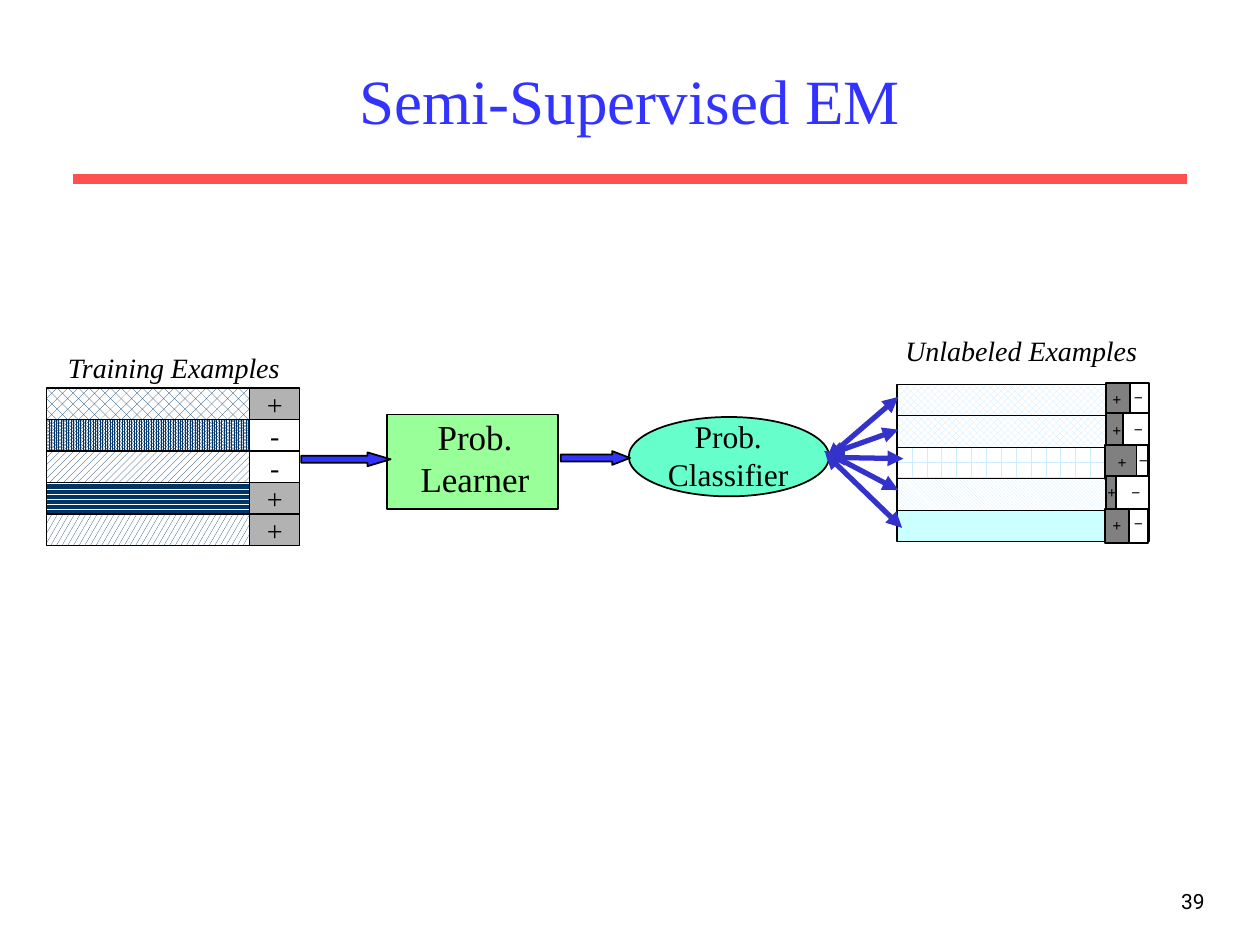
from lxml import etree
from pptx import Presentation
from pptx.dml.color import RGBColor
from pptx.enum.dml import MSO_PATTERN
from pptx.enum.shapes import MSO_CONNECTOR, MSO_SHAPE
from pptx.enum.text import MSO_ANCHOR, PP_ALIGN
from pptx.oxml.ns import qn
from pptx.util import Inches, Pt

RECT, OVAL, ARROW = MSO_SHAPE.RECTANGLE, MSO_SHAPE.OVAL, MSO_SHAPE.RIGHT_ARROW
STRAIGHT = MSO_CONNECTOR.STRAIGHT
CENTER, RIGHT = PP_ALIGN.CENTER, PP_ALIGN.RIGHT
TOP, MIDDLE = MSO_ANCHOR.TOP, MSO_ANCHOR.MIDDLE
SERIF = "Times New Roman"
BLACK, WHITE, LIGHT_GRAY, GRAY = "000000", "FFFFFF", "B2B2B2", "808080"
ROW_H = 0.25

# Content: training rows are (pattern, label)
TRAINING = [("pct40", "+"), ("pct90", "-"), ("wdUpDiag", "-"),
            ("dkHorz", "+"), ("lgConfetti", "+")]
# Unlabeled rows: pattern (None is solid), top of the label cells, then
# cells from back to front as (sign, left, width, left of the sign, top of the sign)
UNLABELED = [
    ("lgCheck", 3.04, [("+", 8.78, 0.2, 8.73, 3.04), ("−", 8.97, 0.15, 8.9, 3.03)]),
    ("openDmnd", 3.28, [("+", 8.78, 0.2, 8.73, 3.29), ("−", 8.91, 0.21, 8.9, 3.28)]),
    ("horzBrick", 3.53, [("−", 8.96, 0.15, 8.94, 3.53), ("+", 8.77, 0.25, 8.77, 3.54)]),
    ("dkDnDiag", 3.78, [("+", 8.78, 0.2, 8.69, 3.78), ("−", 8.86, 0.26, 8.88, 3.78)]),
    (None, 4.04, [("+", 8.77, 0.2, 8.73, 4.04), ("−", 8.96, 0.15, 8.9, 4.03)]),
]
CAPTIONS = [
    ("Training Examples", (0.43, 2.73, 1.9, 0.37)),
    ("Unlabeled Examples", (7.08, 2.6, 2.05, 0.37)),
]
# Stages: outline, place, fill, lines of text, text place, size, wrap
STAGES = [
    (RECT, (3.07, 3.29, 1.36, 0.75), "99FF99", ["Prob. Learner"],
     (3.23, 3.25, 1.08, 0.77), 20, True),
    (OVAL, (4.99, 3.31, 1.59, 0.63), "66FFCC", ["Prob.", "Classifier"],
     (5.2, 3.26, 1.16, 0.7), 18, False),
]
# Block arrows: place and head length relative to height
FLOWS = [((2.39, 3.59, 0.71, 0.11), 1.67), ((4.45, 3.58, 0.55, 0.11), 1.29)]
CLASSIFIER_LINKS = [
    ((6.56, 3.64), (7.13, 3.15)),
    ((6.57, 3.61), (7.13, 3.41)),
    ((6.58, 3.63), (7.17, 3.64)),
    ((6.54, 3.58), (7.13, 3.89)),
    ((6.55, 3.6), (7.16, 4.19)),
]


def rgb(color):
    return RGBColor.from_string(color)


def write(frame, lines, size, font=SERIF, color=BLACK, align=CENTER,
          anchor=TOP, wrap=False, italic=None, bold=None):
    frame.word_wrap = wrap
    frame.vertical_anchor = anchor
    for i, line in enumerate(lines):
        paragraph = frame.paragraphs[0] if i == 0 else frame.add_paragraph()
        paragraph.alignment = align
        run = paragraph.add_run()
        run.text = line
        run.font.size = Pt(size)
        run.font.name = font
        run.font.italic = italic
        run.font.bold = bold
        run.font.color.rgb = rgb(color)


def add_text(place, lines, size, **style):
    box = slide.shapes.add_textbox(*map(Inches, place))
    write(box.text_frame, lines, size, **style)


def add_block(kind, place, fill, line_width=0.75, pattern=None):
    block = slide.shapes.add_shape(kind, *map(Inches, place))
    block.shadow.inherit = False
    if pattern is None:
        block.fill.solid()
    else:
        block.fill.patterned()
        block.fill.pattern = MSO_PATTERN.from_xml(pattern)
        block.fill.back_color.rgb = rgb(WHITE)
    block.fill.fore_color.rgb = rgb(fill)
    block.line.color.rgb = rgb(BLACK)
    block.line.width = Pt(line_width)
    return block


def add_line(start, end, color, width, heads=False):
    line = slide.shapes.add_connector(STRAIGHT, *map(Inches, start + end))
    line.line.color.rgb = rgb(color)
    line.line.width = Pt(width)
    if heads:
        outline = line.line._get_or_add_ln()
        for tag in ("a:headEnd", "a:tailEnd"):
            etree.SubElement(outline, qn(tag), type="triangle")
    etree.SubElement(line._element.spPr, qn("a:effectLst"))


prs = Presentation()
prs.slide_width, prs.slide_height = Inches(10), Inches(7.5)
slide = prs.slides.add_slide(prs.slide_layouts[5])

# Title, rule and slide number
title = slide.shapes.title
title.left, title.top, title.width, title.height = map(Inches, (0.75, 0.25, 8.5, 1.08))
write(title.text_frame, ["Semi-Supervised EM"], 36, color="3333FF",
      anchor=MIDDLE, wrap=True)
add_line((0.58, 1.42), (9.42, 1.42), "FF5050", 6)
add_text((7.58, 7, 2.08, 0.5), ["39"], 12, font="Roboto", align=RIGHT, wrap=True)

# Captions
for caption, place in CAPTIONS:
    add_text(place, [caption], 16, italic=True)

# Training examples
for row, (pattern, label) in enumerate(TRAINING):
    top = 3.08 + row * ROW_H
    add_block(RECT, (0.37, top, 2.01, ROW_H), "003366", pattern=pattern)
    add_line((1.98, top), (1.98, top + ROW_H), BLACK, 0.75)
    cell = add_block(RECT, (1.98, top, 0.4, ROW_H),
                     LIGHT_GRAY if label == "+" else WHITE)
    write(cell.text_frame, [label], 16, anchor=MIDDLE, italic=True)

# Unlabeled examples
for row, (pattern, _, _) in enumerate(UNLABELED):
    top = 3.05 + row * ROW_H
    add_block(RECT, (7.12, top, 1.67, ROW_H),
              "CCECFF" if pattern else "CCFFFF", pattern=pattern)
    add_block(RECT, (8.79, top, 0.33, ROW_H), WHITE)

# Learner and classifier
for kind, place, fill, lines, text_place, size, wrap in STAGES:
    add_block(kind, place, fill, 1)
    add_text(text_place, lines, size, wrap=wrap)

# Flow arrows and classifier links
for place, head_length in FLOWS:
    flow = add_block(ARROW, place, "3333FF", 1)
    flow.adjustments[1] = head_length
for start, end in CLASSIFIER_LINKS:
    add_line(start, end, "3333CC", 3, heads=True)

# Label shares of the unlabeled examples, signs above both cells
for _, top, cells in UNLABELED:
    for sign, left, width, _, _ in cells:
        add_block(RECT, (left, top, width, 0.27), GRAY if sign == "+" else WHITE, 1)
    for sign, _, _, sign_left, sign_top in cells:
        add_text((sign_left, sign_top, 0.27, 0.25), [sign], 9, bold=True)

prs.save("out.pptx")
